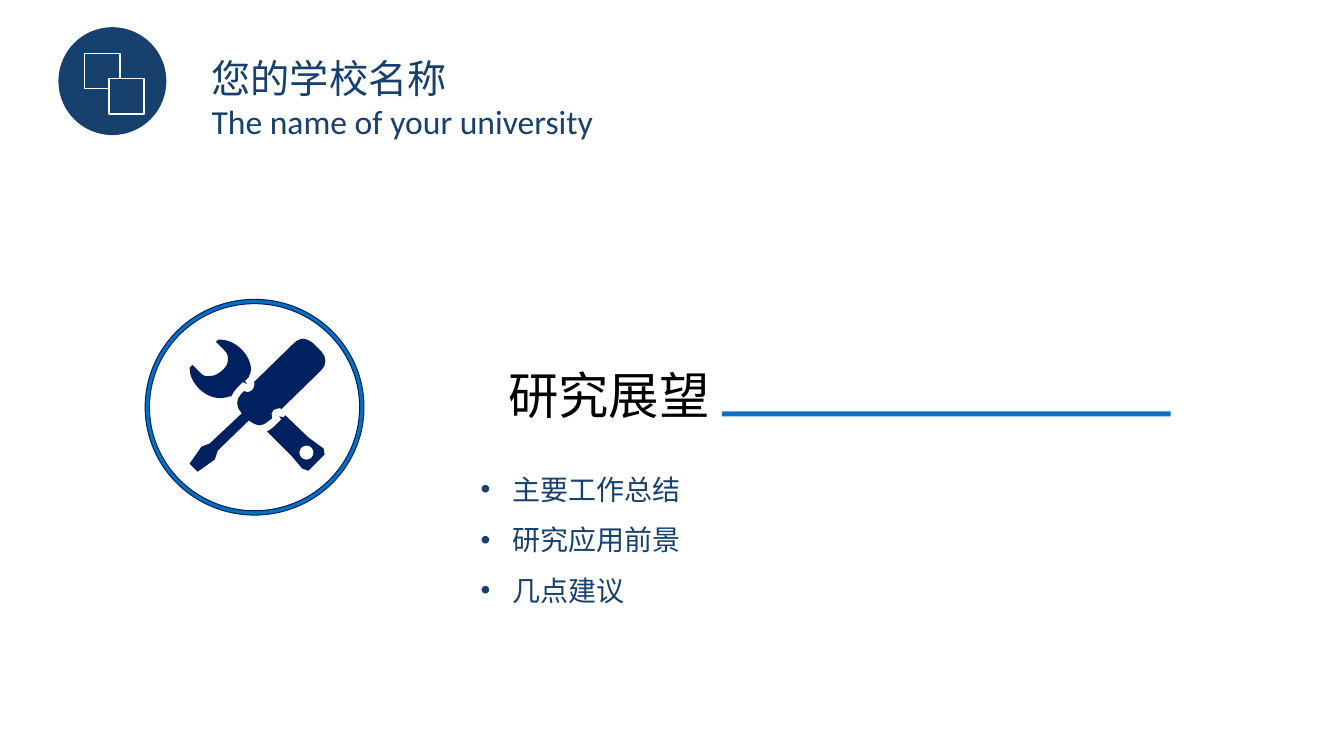
import dataclasses
import typing

import pptx
import pptx.dml.color
import pptx.enum.shapes
import pptx.enum.text
import pptx.oxml
import pptx.oxml.ns
import pptx.util

Inches = pptx.util.Inches
Pt = pptx.util.Pt
Color = pptx.dml.color.RGBColor
Kind = pptx.enum.shapes.MSO_SHAPE

NAVY = Color(0x17, 0x40, 0x6D)
DARK = Color(0x00, 0x20, 0x60)
BLUE = Color(0x00, 0x70, 0xC0)
RULE = Color(0x0F, 0x6F, 0xC6)
WHITE = Color(0xFF, 0xFF, 0xFF)
BLACK = Color(0x00, 0x00, 0x00)
FONT = "Calibri"
INDENT = Pt(22.5)
SPACE = pptx.oxml.ns.nsdecls("a")

Box = tuple[float, float, float, float]
# A contour is a start point, then lines (x, y) or curves (two handles and an end)
Contour = list[tuple[float, ...]]


@dataclasses.dataclass
class Shape:
    kind: Kind
    box: Box
    fill: Color
    line: typing.Optional[Color] = None
    width: float = 1
    adjust: typing.Optional[float] = None


@dataclasses.dataclass
class Text:
    box: Box
    lines: list[str]
    size: int
    color: Color
    bullet: bool = False


# Title rule, header badge and tool ring
SHAPES = [
    Shape(Kind.RECTANGLE, (7.16, 4.08, 4.45, 0.05), RULE),
    Shape(Kind.OVAL, (0.58, 0.27, 1.07, 1.07), NAVY),
    Shape(Kind.RECTANGLE, (0.84, 0.53, 0.35, 0.35), NAVY, WHITE),
    Shape(Kind.RECTANGLE, (1.08, 0.78, 0.35, 0.35), NAVY, WHITE),
    Shape(Kind.DONUT, (1.44, 2.97, 2.17, 2.14), BLUE, DARK, 0.75, 0.02),
]

TEXTS = [
    Text((4.94, 3.56, 2.51, 0.71), ["研究展望"], 36, BLACK),
    Text((4.67, 4.47, 6.94, 1.62), ["主要工作总结", "研究应用前景", "几点建议"],
         20, NAVY, True),
    Text((2, 0.49, 2.98, 0.57), ["您的学校名称"], 28, NAVY),
    Text((2, 0.95, 4.76, 0.5), ["The name of your university"], 24, NAVY),
]

# Wrench handle with its hole, wrench head, screwdriver
HOLE: Contour = [
    (3.04, 4.42), (3.08, 4.42, 3.11, 4.45, 3.11, 4.49),
    (3.11, 4.53, 3.08, 4.56, 3.04, 4.56), (3, 4.56, 2.97, 4.53, 2.97, 4.49),
    (2.97, 4.45, 3, 4.42, 3.04, 4.42),
]
HANDLE: Contour = [
    (2.77, 4.13), (2.79, 4.16), (2.75, 4.2), (2.72, 4.23),
    (2.7, 4.25, 2.67, 4.27, 2.65, 4.28), (2.88, 4.51), (3, 4.65),
    (3.06, 4.67), (3.22, 4.51), (3.21, 4.45), (3.06, 4.34), (2.83, 4.12),
    (2.81, 4.14),
]
HEAD: Contour = [
    (2.37, 3.83), (2.41, 3.79), (2.45, 3.81), (2.43, 3.78), (2.47, 3.74),
    (2.47, 3.73), (2.48, 3.71, 2.49, 3.69, 2.49, 3.67),
    (2.49, 3.52, 2.33, 3.36, 2.17, 3.37), (2.17, 3.37, 2.15, 3.38, 2.14, 3.39),
    (2.27, 3.52, 2.26, 3.5, 2.26, 3.58), (2.26, 3.64, 2.16, 3.73, 2.09, 3.73),
    (2.01, 3.73, 2.04, 3.75, 1.91, 3.62), (1.9, 3.63, 1.88, 3.65, 1.88, 3.65),
    (1.88, 3.8, 2.03, 3.95, 2.19, 3.95), (2.22, 3.95, 2.25, 3.94, 2.29, 3.93),
    (2.29, 3.94), (2.3, 3.91, 2.32, 3.89, 2.34, 3.86),
]
DRIVER: Contour = [
    (3.19, 3.49), (3.1, 3.4), (3.07, 3.38, 3.04, 3.36, 3.01, 3.36),
    (2.98, 3.36, 2.94, 3.38, 2.92, 3.4), (2.52, 3.79),
    (2.53, 3.81, 2.52, 3.85, 2.5, 3.87), (2.49, 3.88, 2.47, 3.89, 2.45, 3.89),
    (2.44, 3.89, 2.43, 3.88, 2.42, 3.88), (2.39, 3.91),
    (2.34, 3.96, 2.34, 4.04, 2.39, 4.09), (2.4, 4.1), (2.08, 4.4), (2, 4.43),
    (1.88, 4.6), (1.96, 4.68), (2.13, 4.56), (2.16, 4.47), (2.47, 4.17),
    (2.48, 4.18), (2.51, 4.2, 2.54, 4.22, 2.57, 4.22),
    (2.6, 4.22, 2.64, 4.2, 2.66, 4.18), (2.7, 4.15),
    (2.69, 4.12, 2.69, 4.09, 2.71, 4.07), (2.73, 4.06, 2.75, 4.05, 2.77, 4.05),
    (2.78, 4.05, 2.79, 4.05, 2.79, 4.06), (3.19, 3.67),
    (3.24, 3.62, 3.24, 3.54, 3.19, 3.49),
]
TOOLS = [[HOLE, HANDLE], [HEAD], [DRIVER]]


def paint(shape, fill: Color, line: typing.Optional[Color] = None,
          width: float = 1) -> None:
    shape.shadow.inherit = False
    shape.fill.solid()
    shape.fill.fore_color.rgb = fill
    if line is None:
        shape.line.fill.background()
    else:
        shape.line.color.rgb = line
        shape.line.width = Pt(width)


def draw_shape(slide, item: Shape) -> None:
    shape = slide.shapes.add_shape(item.kind, *map(Inches, item.box))
    if item.adjust is not None:
        shape.adjustments[0] = item.adjust
    paint(shape, item.fill, item.line, item.width)


def bend(shape, parts: Contour) -> None:
    """Turn the lines of an outline into curves where handles are given."""
    lines = shape._element.findall(".//" + pptx.oxml.ns.qn("a:lnTo"))
    for line, part in zip(lines, parts):
        if len(part) == 2:
            continue
        points = "".join(
            f'<a:pt x="{Inches(x) - shape.left}" y="{Inches(y) - shape.top}"/>'
            for x, y in zip(part[::2], part[1::2]))
        curve = pptx.oxml.parse_xml(
            f"<a:cubicBezTo {SPACE}>{points}</a:cubicBezTo>")
        line.getparent().replace(line, curve)


def draw_tool(slide, contours: list[Contour]) -> None:
    pen = slide.shapes.build_freeform(*map(Inches, contours[0][0]))
    parts: Contour = []
    for index, contour in enumerate(contours):
        if index:
            pen.move_to(*map(Inches, contour[0]))
        ends = [tuple(map(Inches, part[-2:])) for part in contour[1:]]
        pen.add_line_segments(ends, close=True)
        parts += contour[1:]
    shape = pen.convert_to_shape()
    bend(shape, parts)
    paint(shape, DARK)


def add_bullet(para) -> None:
    props = para._p.get_or_add_pPr()
    props.set("marL", str(INDENT))
    props.set("indent", str(-INDENT))
    for tag in ('buFont {} typeface="Arial"', 'buChar {} char="•"'):
        props.append(pptx.oxml.parse_xml(f"<a:{tag.format(SPACE)}/>"))
    para.line_spacing = 1.5


def draw_text(slide, item: Text) -> None:
    frame = slide.shapes.add_textbox(*map(Inches, item.box)).text_frame
    frame.word_wrap = True
    frame.auto_size = pptx.enum.text.MSO_AUTO_SIZE.SHAPE_TO_FIT_TEXT
    frame.text = "\n".join(item.lines)
    for para in frame.paragraphs:
        if item.bullet:
            add_bullet(para)
        for run in para.runs:
            run.font.name = FONT
            run.font.size = Pt(item.size)
            run.font.color.rgb = item.color


def main() -> None:
    deck = pptx.Presentation()
    deck.slide_width = Inches(13.33)
    deck.slide_height = Inches(7.5)
    slide = deck.slides.add_slide(deck.slide_layouts[6])
    for shape in SHAPES:
        draw_shape(slide, shape)
    for tool in TOOLS:
        draw_tool(slide, tool)
    for text in TEXTS:
        draw_text(slide, text)
    deck.save("out.pptx")


if __name__ == "__main__":
    main()
